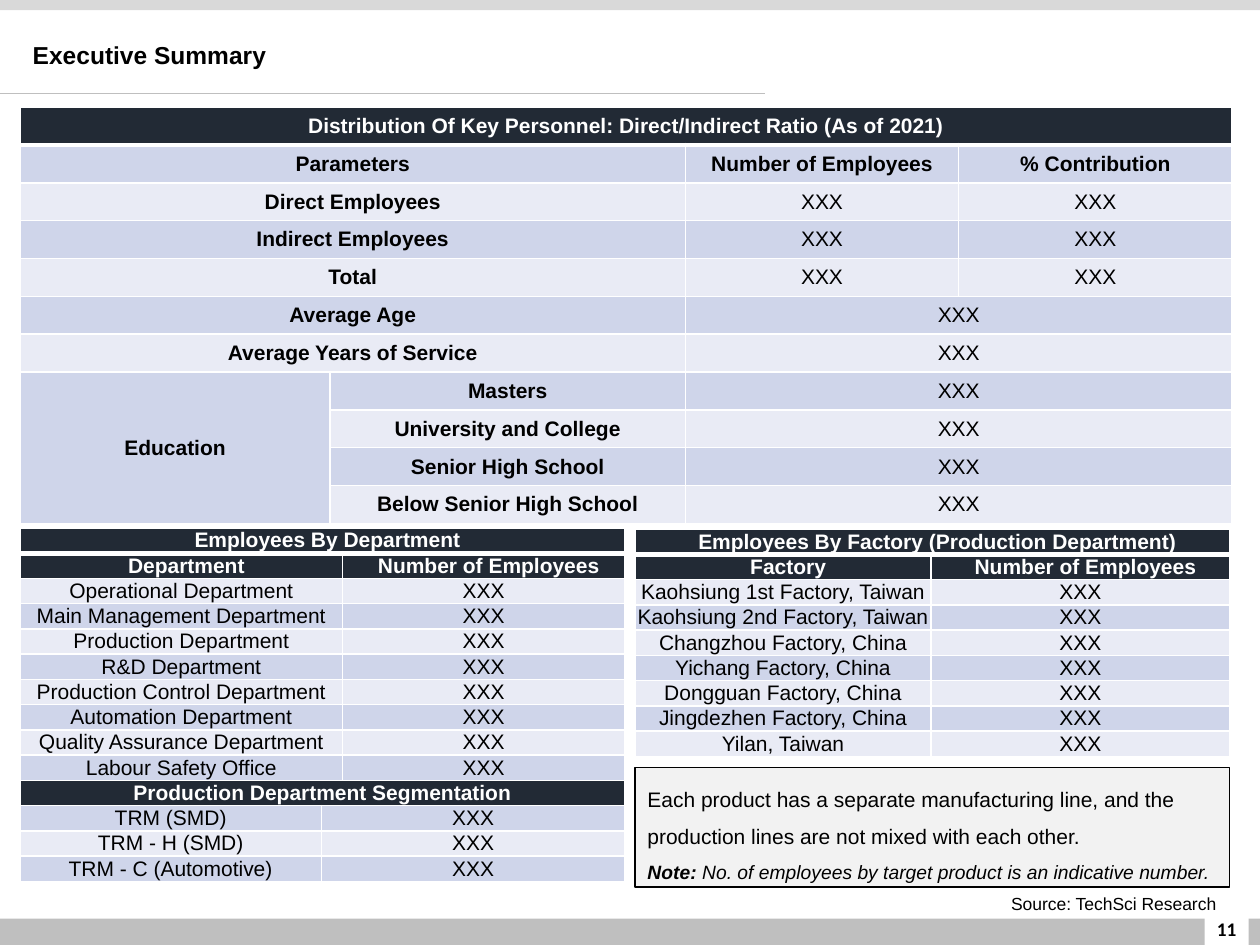
from lxml import etree
from pptx import Presentation
from pptx.dml.color import RGBColor
from pptx.enum.shapes import MSO_CONNECTOR, MSO_SHAPE
from pptx.enum.text import MSO_ANCHOR, PP_ALIGN
from pptx.oxml.ns import qn
from pptx.util import Inches, Pt

RECTANGLE = MSO_SHAPE.RECTANGLE
STRAIGHT = MSO_CONNECTOR.STRAIGHT
TOP, MIDDLE = MSO_ANCHOR.TOP, MSO_ANCHOR.MIDDLE
LEFT, CENTER, RIGHT = PP_ALIGN.LEFT, PP_ALIGN.CENTER, PP_ALIGN.RIGHT

BLACK = RGBColor(0x00, 0x00, 0x00)
WHITE = RGBColor(0xFF, 0xFF, 0xFF)
NAVY = RGBColor(0x22, 0x2A, 0x35)
BAND_DARK = RGBColor(0xCF, 0xD5, 0xEA)
BAND_LIGHT = RGBColor(0xE9, 0xEB, 0xF5)
GREY = RGBColor(0xBF, 0xBF, 0xBF)
LIGHT_GREY = RGBColor(0xD9, 0xD9, 0xD9)
PANEL = RGBColor(0xF2, 0xF2, 0xF2)

VALUE = "XXX"

PERSONNEL = [
    ["Distribution Of Key Personnel: Direct/Indirect Ratio (As of 2021)", None, None, None],
    ["Parameters", None, "Number of Employees", "% Contribution"],
    ["Direct Employees", None, VALUE, VALUE],
    ["Indirect Employees", None, VALUE, VALUE],
    ["Total", None, VALUE, VALUE],
    ["Average Age", None, VALUE, None],
    ["Average Years of Service", None, VALUE, None],
    ["Education", "Masters", VALUE, None],
    [None, "University and College", VALUE, None],
    [None, "Senior High School", VALUE, None],
    [None, "Below Senior High School", VALUE, None],
]
DEPARTMENTS = [
    "Operational Department", "Main Management Department", "Production Department",
    "R&D Department", "Production Control Department", "Automation Department",
    "Quality Assurance Department", "Labour Safety Office",
]
SEGMENTS = ["TRM (SMD)", "TRM - H (SMD)", "TRM - C (Automotive)"]
FACTORIES = [
    "Kaohsiung 1st Factory, Taiwan", "Kaohsiung 2nd Factory, Taiwan",
    "Changzhou Factory, China", "Yichang Factory, China", "Dongguan Factory, China",
    "Jingdezhen Factory, China", "Yilan, Taiwan",
]
DEPARTMENT_ROWS = [
    ["Employees By Department", None, None],
    ["Department", None, "Number of Employees"],
    *[[name, None, VALUE] for name in DEPARTMENTS],
    ["Production Department Segmentation", None, None],
    *[[name, VALUE, None] for name in SEGMENTS],
]
FACTORY_ROWS = [
    ["Employees By Factory (Production Department)", None],
    ["Factory", "Number of Employees"],
    *[[name, VALUE] for name in FACTORIES],
]


def add_run(paragraph, text, size, color=BLACK, bold=False, italic=False, name="Arial"):
    """Append one formatted run to a paragraph."""
    run = paragraph.add_run()
    run.text = text
    font = run.font
    font.name, font.size, font.bold, font.italic = name, Pt(size), bold, italic
    font.color.rgb = color


def add_rectangle(slide, box, fill, outline=None):
    """Add a flat rectangle, outlined only when a colour is given."""
    shape = slide.shapes.add_shape(RECTANGLE, *map(Inches, box))
    shape.shadow.inherit = False
    shape.fill.solid()
    shape.fill.fore_color.rgb = fill
    if outline is None:
        shape.line.fill.background()
    else:
        shape.line.color.rgb = outline
        shape.line.width = Pt(0.75)
    return shape


def add_label(slide, box, text, size, alignment, anchor=TOP, **style):
    """Add a one-line text box."""
    frame = slide.shapes.add_textbox(*map(Inches, box)).text_frame
    frame.word_wrap = True
    frame.vertical_anchor = anchor
    frame.paragraphs[0].alignment = alignment
    add_run(frame.paragraphs[0], text, size, **style)


def add_frame(slide):
    """Add the top and bottom bars, the page number and the title rule."""
    add_rectangle(slide, (0, 7.29, 10, 0.21), GREY)
    add_rectangle(slide, (0, 0, 10, 0.08), LIGHT_GREY)
    add_rectangle(slide, (9.56, 7.13, 0.35, 0.37), WHITE)
    add_label(slide, (9.49, 7.2, 0.49, 0.34), "11", 11, CENTER, MIDDLE, bold=True, name="Calibri")
    rule = slide.shapes.add_connector(STRAIGHT, 0, Inches(0.74), Inches(6.07), Inches(0.74))
    rule.line.color.rgb = GREY
    rule.line.width = Pt(0.5)
    etree.SubElement(rule._element.spPr, qn("a:effectLst"))


def set_title(slide, box, text):
    """Place and format the title placeholder."""
    title = slide.shapes.title
    title.left, title.top, title.width, title.height = map(Inches, box)
    title.text_frame.vertical_anchor = TOP
    paragraph = title.text_frame.paragraphs[0]
    paragraph.alignment = LEFT
    add_run(paragraph, text, 14, bold=True)


def set_borders(cell, bottom):
    """Draw white borders round a cell, with its own bottom width."""
    properties = cell._tc.get_or_add_tcPr()
    for side, width in (("L", 1), ("R", 1), ("T", 1), ("B", bottom)):
        line = etree.SubElement(properties, qn(f"a:ln{side}"), w=str(Pt(width)))
        fill = etree.SubElement(line, qn("a:solidFill"))
        etree.SubElement(fill, qn("a:srgbClr"), val=str(WHITE))


def merge_gaps(table, rows):
    """Merge each filled cell with the empty cells to its right or below."""
    for r, row in enumerate(rows):
        for c, text in enumerate(row):
            if text is None:
                continue
            last_row, last_column = r, c
            while last_column + 1 < len(row) and row[last_column + 1] is None:
                last_column += 1
            while last_row + 1 < len(rows) and rows[last_row + 1][c] is None and c == 0:
                last_row += 1
            if (last_row, last_column) != (r, c):
                table.cell(r, c).merge(table.cell(last_row, last_column))


def add_banded_table(slide, box, rows, widths, header_rows, compact=True):
    """Add a table with navy header rows and two alternating band colours."""
    table = slide.shapes.add_table(len(rows), len(widths), *map(Inches, box)).table
    for column, width in zip(table.columns, widths):
        column.width = Inches(width)
    for r, row in enumerate(rows):
        table.rows[r].height = Inches(box[3] / len(rows))
        header = r in header_rows
        for c, text in enumerate(row):
            cell = table.cell(r, c)
            set_borders(cell, 3 if r == 0 else 1)
            cell.fill.solid()
            cell.fill.fore_color.rgb = NAVY if header else BAND_DARK if r % 2 else BAND_LIGHT
            cell.vertical_anchor = MIDDLE
            if compact:
                cell.margin_left = cell.margin_right = cell.margin_top = cell.margin_bottom = 0
            paragraph = cell.text_frame.paragraphs[0]
            paragraph.alignment = CENTER
            paragraph.font.size = Pt(12)
            if compact and r < 2:
                paragraph._p.get_or_add_pPr().set("marL", str(Inches(0.08)))
            if text:
                bold = header or (not compact and text != VALUE)
                add_run(paragraph, text, 12, WHITE if header else BLACK, bold)
    merge_gaps(table, rows)


def add_note(slide, box):
    """Add the outlined panel with the production line remark."""
    frame = add_rectangle(slide, box, PANEL, BLACK).text_frame
    frame.word_wrap = True
    frame.vertical_anchor = TOP
    remark, note = frame.paragraphs[0], frame.add_paragraph()
    for paragraph in (remark, note):
        paragraph.alignment = LEFT
        paragraph.line_spacing = 1.5
    add_run(remark, "Each product has a separate manufacturing line, and the production "
                    "lines are not mixed with each other.", 12)
    add_run(note, "Note:", 11, bold=True, italic=True)
    add_run(note, " No. of employees by target product is an indicative number.", 11, italic=True)


def main():
    """Build the executive summary slide and save it."""
    presentation = Presentation()
    presentation.slide_width, presentation.slide_height = Inches(10), Inches(7.5)
    slide = presentation.slides.add_slide(presentation.slide_layouts[5])
    add_frame(slide)
    set_title(slide, (0.16, 0.27, 6.62, 0.34), "Executive Summary")
    add_label(slide, (4.71, 7.04, 5.04, 0.27), "Source: TechSci Research", 10, RIGHT)
    add_banded_table(slide, (0.16, 0.85, 9.62, 3.3), PERSONNEL,
                     (2.46, 2.82, 2.17, 2.17), {0}, compact=False)
    add_note(slide, (5.04, 6.09, 4.72, 0.95))
    add_banded_table(slide, (0.16, 4.19, 4.8, 2.8), DEPARTMENT_ROWS, (2.39, 0.17, 2.24), {0, 1, 10})
    add_banded_table(slide, (5.04, 4.2, 4.72, 1.8), FACTORY_ROWS, (2.35, 2.37), {0, 1})
    presentation.save("out.pptx")


if __name__ == "__main__":
    main()
